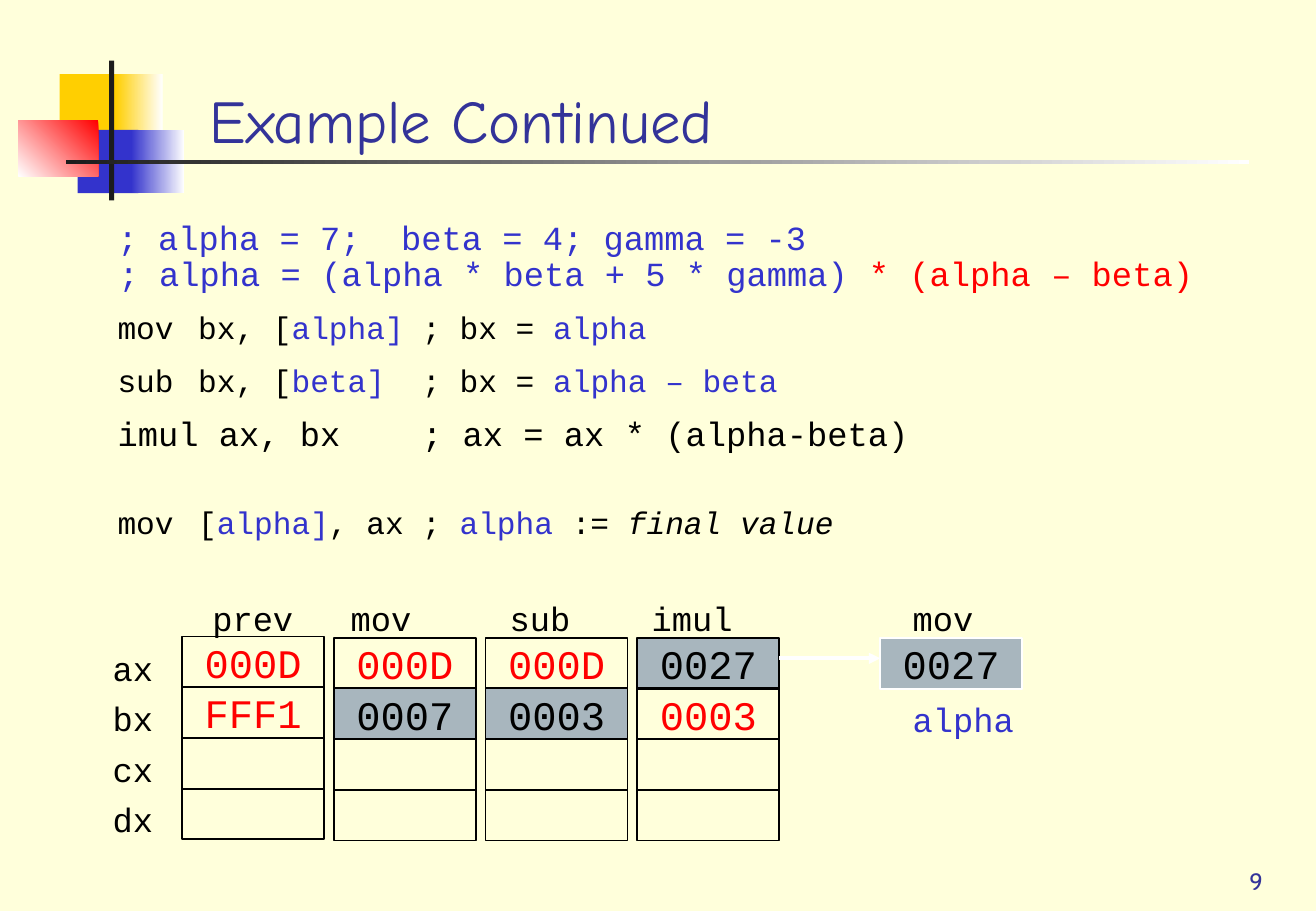
from lxml.etree import SubElement
from pptx import Presentation
from pptx.dml.color import RGBColor
from pptx.enum.shapes import MSO_CONNECTOR, MSO_SHAPE
from pptx.enum.text import MSO_ANCHOR as Anchor, MSO_AUTO_SIZE as AutoSize, PP_ALIGN as Align
from pptx.oxml.ns import qn
from pptx.util import Inches, Pt

COLORS = {
    "cream": "FFFFDB", "white": "FFFFFF", "black": "000000", "ink": "1C1C1C",
    "yellow": "FFCF01", "blue": "3333CC", "navy": "333399", "red": "FF0000",
    "changed": "A8B6BE",
}
CODE_FONT = "Courier New"
CELL_WIDTH, CELL_HEIGHT = 1.17, 0.42
COLUMN_STEP, ROW_STEP = 1.25, 1.25 / 3
HEADING_TOP = 4.87

# left, top, width, height, fill: one colour, or start colour, end colour, clockwise angle
DECORATION = [
    (0.49, 0.61, 0.52, 0.52, "yellow"),
    (0.95, 0.61, 0.39, 0.52, ("white", "yellow", 180)),
    (0.64, 1.07, 0.5, 0.52, "blue"),
    (1.08, 1.07, 0.44, 0.52, ("white", "blue", 180)),
    (0.15, 0.99, 0.66, 0.46, ("red", "white", 135)),
    (0.9, 0.5, 0.04, 1.15, "ink"),
    (0.54, 1.32, 9.75, 0.03, ("white", "ink", 180)),
]

# top, height, size, line spacing, lines of (text, colour, italic)
CODE = [
    (1.77, 0.75, 20, 0.9, [
        [("; alpha = 7;  beta = 4; gamma = -3", "blue")],
        [("; alpha = (alpha * beta + 5 * gamma) ", "blue"), ("* (alpha – beta)", "red")]]),
    (2.52, 0.42, 18.5, 0.9, [
        [("mov\t bx, [", "black"), ("alpha]\t", "blue"), ("; bx = ", "black"),
         ("alpha", "blue")]]),
    (2.96, 0.42, 18.5, 0.9, [
        [("sub\t bx, [", "black"), ("beta]\t", "blue"), ("; bx = ", "black"),
         ("alpha – beta", "blue")]]),
    (3.35, 0.75, 20, 1.0, [[("imul ax, bx\t\t; ax = ax * (alpha-beta)", "black")]]),
    (4.13, 0.42, 18.5, 0.9, [
        [("mov\t [", "black"), ("alpha]", "blue"), (", ax\t; ", "black"), ("alpha", "blue"),
         (" := ", "black"), ("final value", "black", True)]]),
]

REGISTERS = ["ax", "bx", "cx", "dx"]
# top, heading, heading left, values, row changed by the instruction
STATES = [
    (5.24, "prev", 1.65, ["000D", "FFF1", "", ""], None),
    (5.25, "mov", 2.79, ["000D", "0007", "", ""], 1),
    (5.25, "sub", 4.1, ["000D", "0003", "", ""], 1),
    (5.25, "imul", 5.27, ["0027", "0003", "", ""], 0),
]


def rgb(name):
    return RGBColor.from_string(COLORS[name])


def apply(target, values):
    for name, value in values.items():
        setattr(target, name, value)


def add_span(para, text, color, size, font=CODE_FONT, italic=None):
    span = para.add_run()
    span.text = text
    apply(span.font, {"name": font, "size": Pt(size), "italic": italic})
    span.font.color.rgb = rgb(color)


def add_box(page, left, top, width, height, **frame_format):
    box = page.shapes.add_textbox(Inches(left), Inches(top), Inches(width), Inches(height))
    apply(box.text_frame, {"word_wrap": True} | frame_format)
    return box.text_frame.paragraphs[0]


def add_rectangle(page, left, top, width, height):
    box = page.shapes.add_shape(
        MSO_SHAPE.RECTANGLE, Inches(left), Inches(top), Inches(width), Inches(height))
    box.shadow.inherit = False
    return box


def add_decoration(page, left, top, width, height, fill):
    box = add_rectangle(page, left, top, width, height)
    box.line.fill.background()
    if isinstance(fill, str):
        box.fill.solid()
        box.fill.fore_color.rgb = rgb(fill)
        return
    *ends, angle = fill
    box.fill.gradient()
    box.fill.gradient_angle = 360 - angle
    for stop, color in zip(box.fill.gradient_stops, ends):
        stop.color.rgb = rgb(color)


def add_code(page, top, height, size, spacing, lines):
    para = add_box(page, 0.5, top, 10.03, height)
    apply(para, {"line_spacing": spacing, "space_before": Pt(5)})
    properties = para._p.get_or_add_pPr()
    properties.set("marL", str(Inches(0.38)))
    properties.set("indent", str(Inches(-0.01)))
    stops = SubElement(properties, qn("a:tabLst"))
    for inch in range(8):
        SubElement(stops, qn("a:tab"), pos=str(Inches(inch)), algn="l")
    for number, spans in enumerate(lines):
        if number:
            para.add_line_break()
        for text, color, *italic in spans:
            add_span(para, text, color, size, italic=bool(italic))


def add_label(page, left, top, text, color="black"):
    width = 0.2 + len(text) / 6
    para = add_box(page, left, top, width, 0.44, word_wrap=False,
                   auto_size=AutoSize.SHAPE_TO_FIT_TEXT)
    add_span(para, text, color, 20)


def add_cell(page, left, top, text, changed, line="black"):
    box = add_rectangle(page, left, top, CELL_WIDTH, CELL_HEIGHT)
    box.line.color.rgb = rgb(line)
    box.line.width = Pt(1)
    if changed:
        box.fill.solid()
        box.fill.fore_color.rgb = rgb("changed")
    else:
        box.fill.background()
    if text:
        apply(box.text_frame, {"word_wrap": False, "vertical_anchor": Anchor.MIDDLE})
        para = box.text_frame.paragraphs[0]
        para.alignment = Align.CENTER
        add_span(para, text, "black" if changed else "red", 24)


def add_arrow(page, start, end, y):
    arrow = page.shapes.add_connector(
        MSO_CONNECTOR.STRAIGHT, Inches(start), Inches(y), Inches(end), Inches(y))
    arrow.line.color.rgb = rgb("white")
    arrow.line.width = Pt(2.25)
    SubElement(arrow.line._get_or_add_ln(), qn("a:tailEnd"), type="triangle")
    SubElement(arrow._element.spPr, qn("a:effectLst"))


def add_registers(page):
    for row, register in enumerate(REGISTERS):
        add_label(page, 0.83, 5.28 + row * ROW_STEP, register)
    for column, (top, heading, heading_left, values, changed_row) in enumerate(STATES):
        add_label(page, heading_left, HEADING_TOP, heading)
        for row, value in enumerate(values):
            add_cell(page, 1.5 + column * COLUMN_STEP, top + row * ROW_STEP, value,
                     row == changed_row)


def add_result(page):
    add_arrow(page, 6.42, 7.25, 5.42)
    add_cell(page, 7.25, 5.25, "0027", True, line="white")
    add_label(page, 7.42, 5.7, "alpha", "blue")
    add_label(page, 7.42, HEADING_TOP, "mov")


def main():
    deck = Presentation()
    apply(deck, {"slide_width": Inches(10.84), "slide_height": Inches(7.5)})
    page = deck.slides.add_slide(deck.slide_layouts[6])
    page.background.fill.solid()
    page.background.fill.fore_color.rgb = rgb("cream")

    for part in DECORATION:
        add_decoration(page, *part)
    title = add_box(page, 1.63, 0.08, 9.23, 1.25, vertical_anchor=Anchor.BOTTOM)
    add_span(title, "Example Continued", "navy", 36, "Comic Neue")
    for block in CODE:
        add_code(page, *block)
    add_registers(page)
    add_result(page)
    number = add_box(page, 8.24, 6.92, 2.26, 0.5, vertical_anchor=Anchor.BOTTOM)
    number.alignment = Align.RIGHT
    add_span(number, "9", "navy", 14, "Cabin")
    deck.save("out.pptx")


if __name__ == "__main__":
    main()
